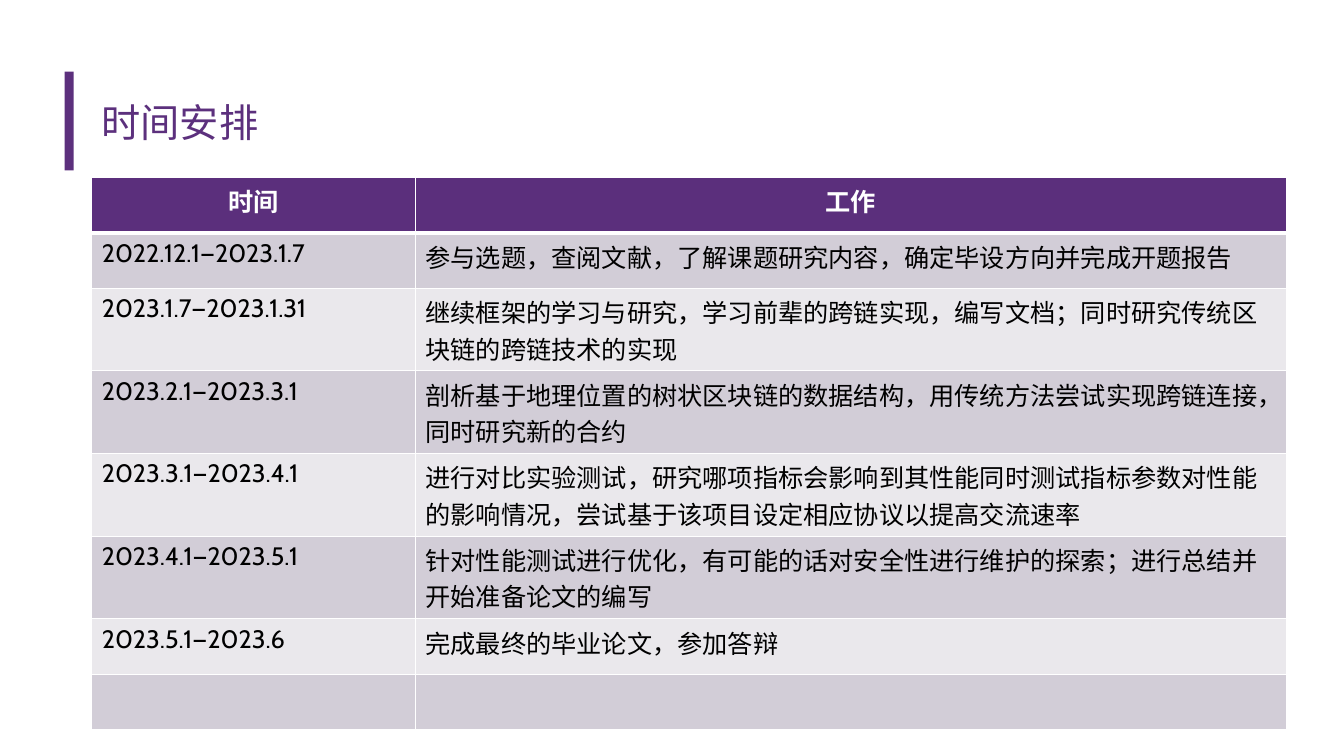
"""Build the thesis timetable slide."""

from dataclasses import dataclass

import lxml.etree
import pptx
import pptx.dml.color
import pptx.enum.shapes
import pptx.enum.text
import pptx.oxml.ns
import pptx.util

Inches = pptx.util.Inches
Align = pptx.enum.text.PP_ALIGN
Anchor = pptx.enum.text.MSO_ANCHOR


@dataclass(frozen=True)
class Theme:
    accent: str = "5C307D"
    header: str = "5B2F7C"
    bands: tuple[str, str] = ("D2CDD7", "EAE8EC")
    light: str = "FFFFFF"
    dark: str = "000000"
    font: str = "Cabin"
    title_size: int = 28
    table_size: int = 18
    rule: int = 1
    header_rule: int = 3


@dataclass(frozen=True)
class Stage:
    period: str
    work: str


THEME = Theme()
HEADINGS = Stage("时间", "工作")
STAGES = [
    Stage("2022.12.1—2023.1.7", "参与选题，查阅文献，了解课题研究内容，确定毕设方向并完成开题报告"),
    Stage("2023.1.7—2023.1.31", "继续框架的学习与研究，学习前辈的跨链实现，编写文档；同时研究传统区块链的跨链技术的实现"),
    Stage("2023.2.1—2023.3.1", "剖析基于地理位置的树状区块链的数据结构，用传统方法尝试实现跨链连接，同时研究新的合约"),
    Stage("2023.3.1—2023.4.1", "进行对比实验测试，研究哪项指标会影响到其性能同时测试指标参数对性能的影响情况，尝试基于该项目设定相应协议以提高交流速率"),
    Stage("2023.4.1—2023.5.1", "针对性能测试进行优化，有可能的话对安全性进行维护的探索；进行总结并开始准备论文的编写"),
    Stage("2023.5.1—2023.6", "完成最终的毕业论文，参加答辩"),
    Stage("", ""),
]
COLUMN_WIDTHS = (3.21, 8.64)
ROW_HEIGHT = 0.55
TWO_LINE_HEIGHT = 0.82
CHARACTERS_PER_LINE = 34


def rgb(value: str) -> pptx.dml.color.RGBColor:
    return pptx.dml.color.RGBColor.from_string(value)


def row_height(stage: Stage) -> float:
    return TWO_LINE_HEIGHT if len(stage.work) > CHARACTERS_PER_LINE else ROW_HEIGHT


def write(frame, text: str, *, size: int, color: str, bold: bool = False, align=Align.LEFT) -> None:
    para = frame.paragraphs[0]
    para.alignment = align
    para.font.size = pptx.util.Pt(size)
    if text:
        span = para.add_run()
        span.text = text
        span.font.name = THEME.font
        span.font.size = pptx.util.Pt(size)
        span.font.bold = bold
        span.font.color.rgb = rgb(color)


def add_borders(cell, *, bottom: int) -> None:
    properties = cell._tc.get_or_add_tcPr()
    widths = {"a:lnL": THEME.rule, "a:lnR": THEME.rule, "a:lnT": THEME.rule, "a:lnB": bottom}
    qualified = pptx.oxml.ns.qn
    for tag, width in widths.items():
        line = lxml.etree.SubElement(properties, qualified(tag), w=str(pptx.util.Pt(width)))
        fill = lxml.etree.SubElement(line, qualified("a:solidFill"))
        lxml.etree.SubElement(fill, qualified("a:srgbClr"), val=THEME.light)


def add_heading(page, text: str) -> None:
    bar = page.shapes.add_shape(
        pptx.enum.shapes.MSO_SHAPE.ROUNDED_RECTANGLE,
        Inches(0.64), Inches(0.71), Inches(0.09), Inches(0.98),
    )
    bar.adjustments[0] = 0
    bar.shadow.inherit = False
    bar.fill.solid()
    bar.fill.fore_color.rgb = rgb(THEME.accent)
    bar.line.fill.background()

    box = page.shapes.add_textbox(Inches(0.91), Inches(0.65), Inches(11.51), Inches(1.11))
    box.text_frame.word_wrap = True
    box.text_frame.vertical_anchor = Anchor.MIDDLE
    write(box.text_frame, text, size=THEME.title_size, color=THEME.accent)


def add_timetable(page, stages: list[Stage]) -> None:
    rows = [HEADINGS, *stages]
    table = page.shapes.add_table(
        len(rows), len(COLUMN_WIDTHS), Inches(0.91), Inches(1.76),
        Inches(sum(COLUMN_WIDTHS)), Inches(sum(map(row_height, rows))),
    ).table
    for column, width in zip(table.columns, COLUMN_WIDTHS):
        column.width = Inches(width)
    for index, stage in enumerate(rows):
        is_header = index == 0
        table.rows[index].height = Inches(row_height(stage))
        for cell, text in zip(table.rows[index].cells, (stage.period, stage.work)):
            add_borders(cell, bottom=THEME.header_rule if is_header else THEME.rule)
            cell.fill.solid()
            cell.fill.fore_color.rgb = rgb(THEME.header if is_header else THEME.bands[(index - 1) % 2])
            write(
                cell.text_frame, text, size=THEME.table_size, bold=is_header,
                color=THEME.light if is_header else THEME.dark,
                align=Align.CENTER if is_header else Align.LEFT,
            )


def main() -> None:
    deck = pptx.Presentation()
    deck.slide_width = Inches(13.33)
    deck.slide_height = Inches(7.5)
    page = deck.slides.add_slide(deck.slide_layouts[6])
    add_heading(page, "时间安排")
    add_timetable(page, STAGES)
    deck.save("out.pptx")


if __name__ == "__main__":
    main()
